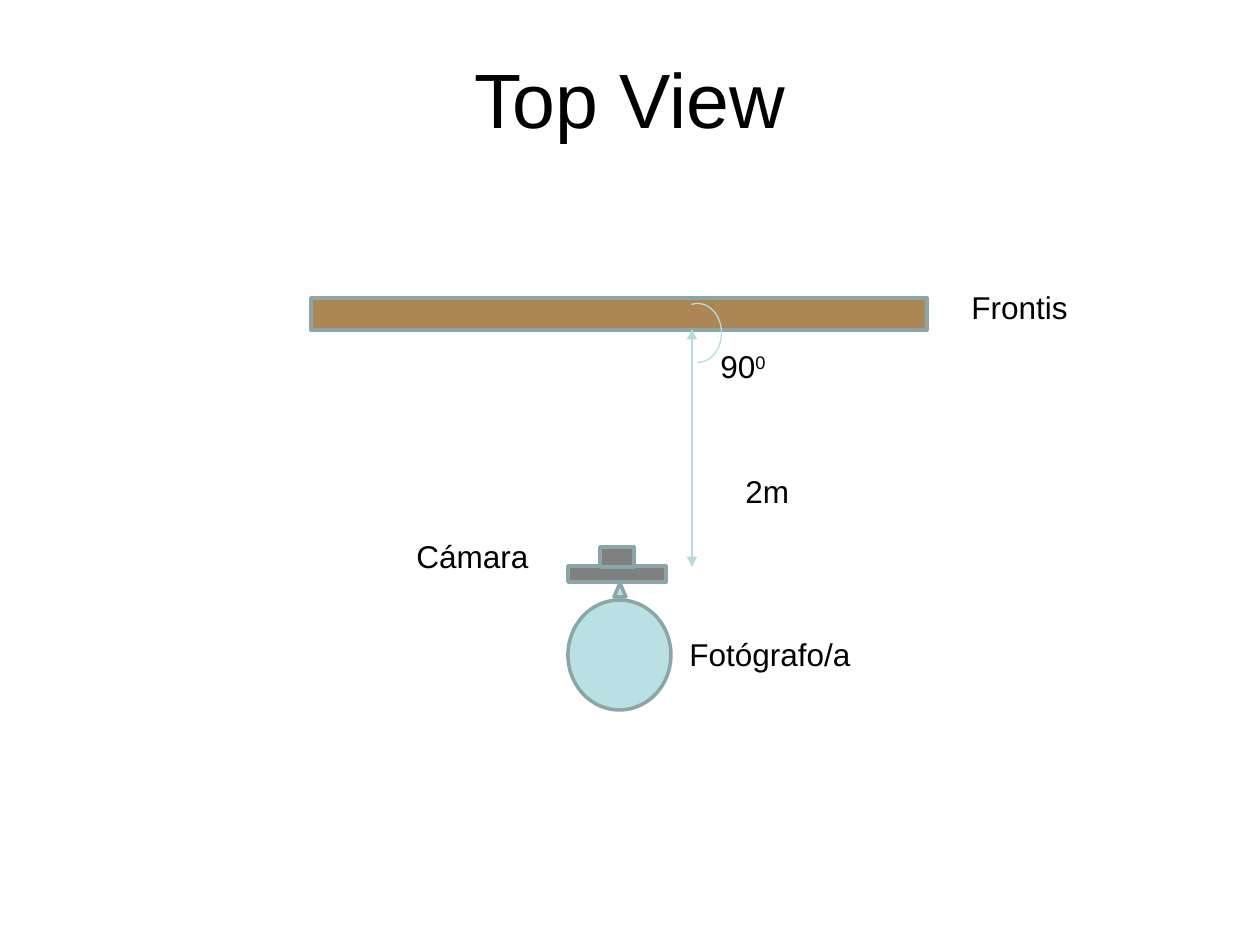
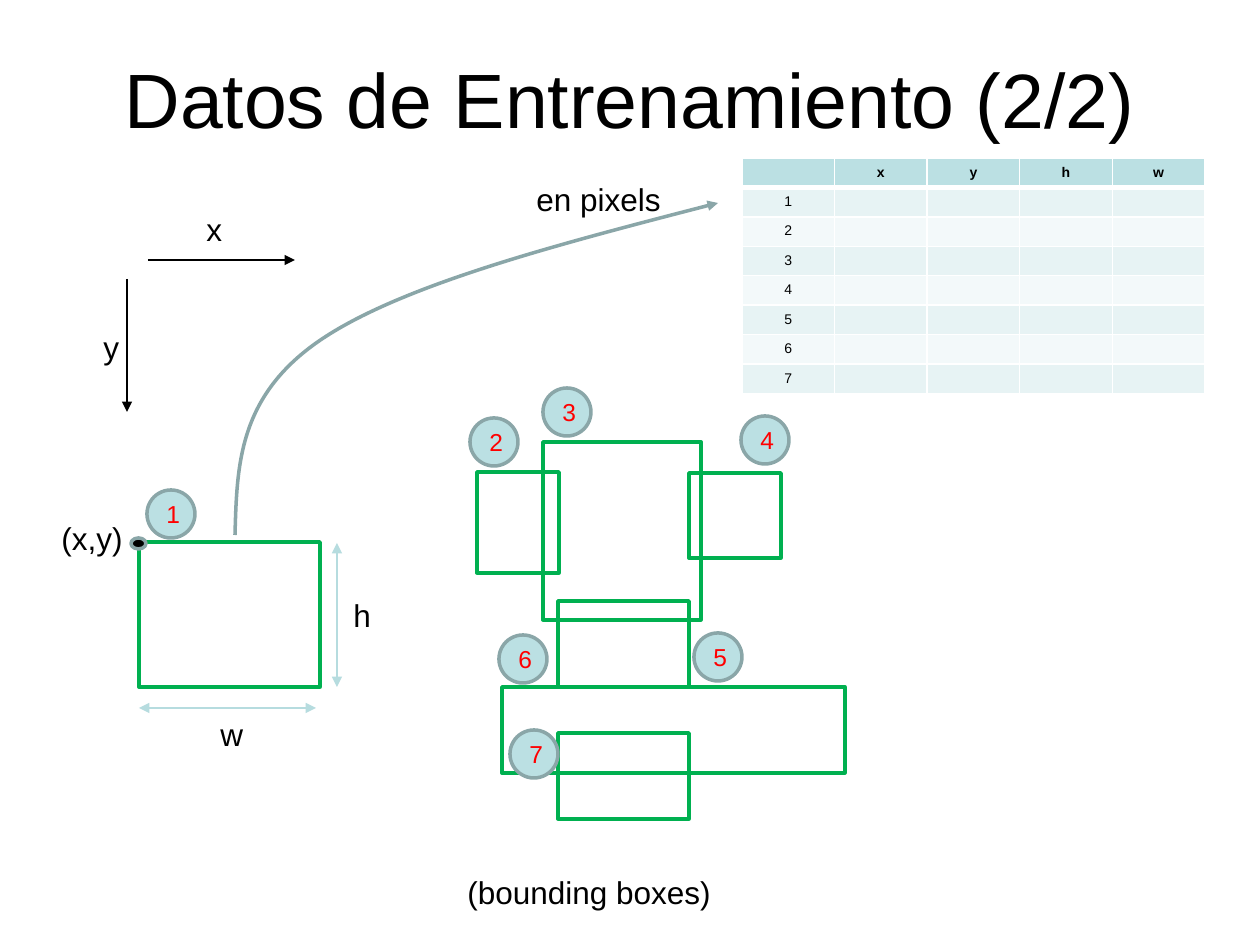
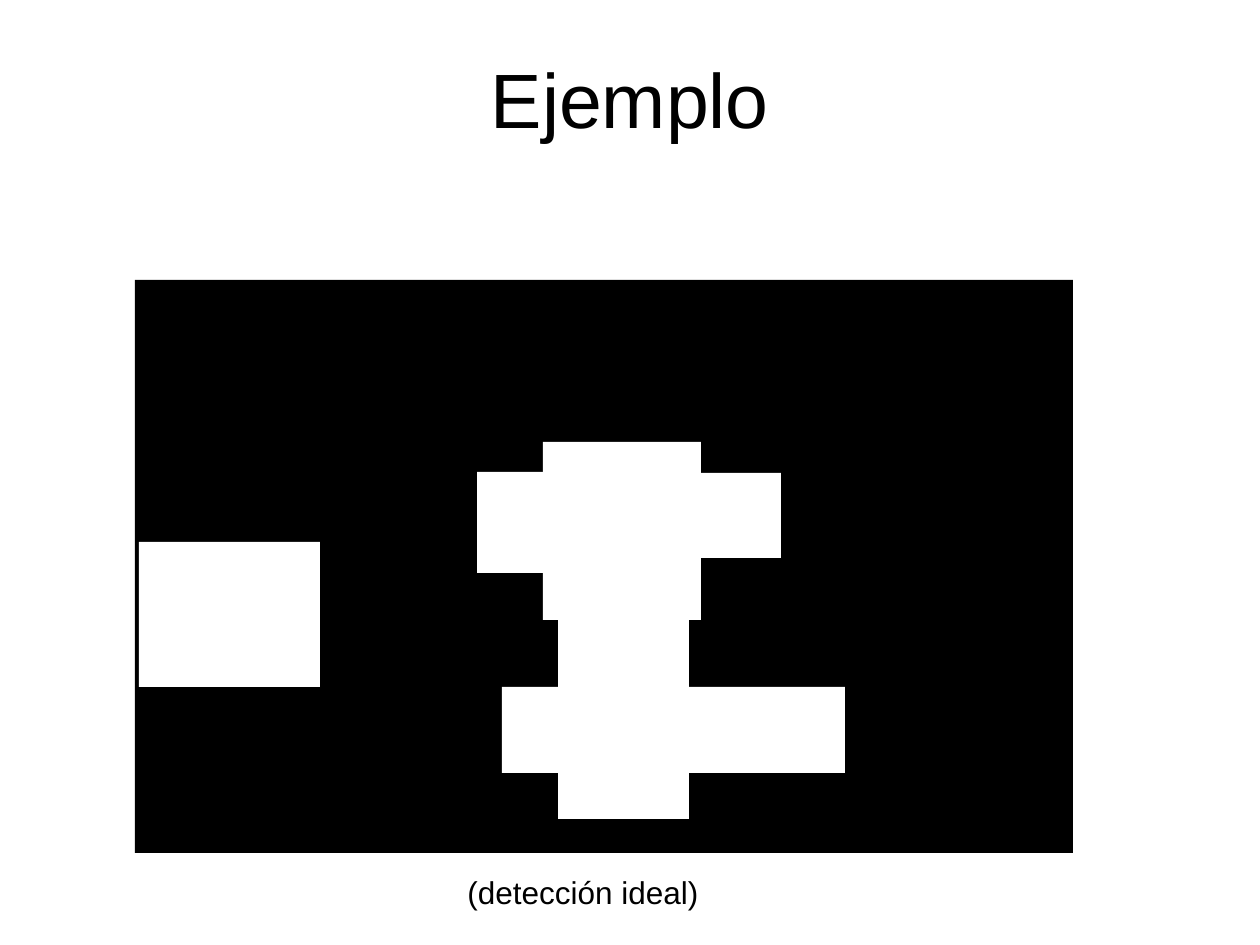
"""Builds three slides on camera placement, training boxes and ideal detection."""
import lxml.etree
import pptx
import pptx.dml.color
import pptx.enum.shapes
import pptx.enum.text
import pptx.oxml.ns
import pptx.util

SCALE = 914400 / 126
FONT = "Arial"
BLACK, WHITE, RED, GREEN = "000000", "FFFFFF", "FF0000", "00B050"
AQUA, EDGE, MEASURE = "BBE0E3", "8AA6A8", "B6DCDF"
WOOD, GREY = "AC8654", "808080"
BANDS = ("F3F9FA", "E7F3F4")
SHAPES = pptx.enum.shapes.MSO_SHAPE
CENTER = pptx.enum.text.PP_ALIGN.CENTER
qn = pptx.oxml.ns.qn

NECK = (558, 601, 131, 86)
REGIONS = [
    (139, 542, 181, 145), (477, 472, 82, 101), (543, 442, 158, 178),
    (689, 473, 92, 85), NECK, (502, 687, 343, 86), (558, 733, 131, 86),
]
BADGES = [(147, 490), (470, 418), (543, 388), (741, 416), (694, 633), (499, 635), (510, 730)]
BADGE_SIZE = 48


def px(*values):
    return [pptx.util.Emu(round(value * SCALE)) for value in values]


def color(value):
    return pptx.dml.color.RGBColor.from_string(value)


def add_xml(parent, tag, **attributes):
    return lxml.etree.SubElement(parent, qn(tag), attributes)


class Sketch:
    def __init__(self):
        self.deck = pptx.Presentation()
        self.deck.slide_width, self.deck.slide_height = px(1260, 945)
        self.page = None

    def new_page(self):
        self.page = self.deck.slides.add_slide(self.deck.slide_layouts[6])

    def add_span(self, para, text, size, ink=BLACK, bold=False):
        span = para.add_run()
        span.text = text
        span.font.name = FONT
        span.font.size = pptx.util.Pt(size)
        span.font.bold = bold
        span.font.color.rgb = color(ink)
        return span

    def title(self, text):
        frame = self.page.shapes.add_textbox(*px(63, 38, 1134, 157)).text_frame
        frame.word_wrap = True
        frame.margin_top = px(14)[0]
        para = frame.paragraphs[0]
        para.alignment = CENTER
        self.add_span(para, text, 44)

    def label(self, text, left, top, width, raised=""):
        frame = self.page.shapes.add_textbox(*px(left, top, width, 50)).text_frame
        frame.word_wrap = False
        frame.auto_size = pptx.enum.text.MSO_AUTO_SIZE.SHAPE_TO_FIT_TEXT
        para = frame.paragraphs[0]
        self.add_span(para, text, 18)
        if raised:
            span = self.add_span(para, raised, 18)
            span.font._element.set("baseline", "30000")

    def style(self, shape, fill, line, weight):
        shape.shadow.inherit = False
        if fill:
            shape.fill.solid()
            shape.fill.fore_color.rgb = color(fill)
        else:
            shape.fill.background()
        if line:
            shape.line.color.rgb = color(line)
            shape.line.width = pptx.util.Pt(weight)
        else:
            shape.line.fill.background()

    def shape(self, kind, bounds, fill=None, line=EDGE, weight=2):
        shape = self.page.shapes.add_shape(kind, *px(*bounds))
        self.style(shape, fill, line, weight)
        return shape

    def badge(self, text, left, top):
        circle = self.shape(SHAPES.OVAL, (left, top, BADGE_SIZE, BADGE_SIZE), AQUA)
        frame = circle.text_frame
        frame.vertical_anchor = pptx.enum.text.MSO_ANCHOR.MIDDLE
        para = frame.paragraphs[0]
        para.alignment = CENTER
        self.add_span(para, text, 14, RED)

    def right_angle(self, bounds):
        arc = self.shape(SHAPES.ARC, bounds, line=MEASURE, weight=0.75)
        arc.adjustments[0] = 100.87
        arc.rotation = 90

    def arrowheads(self, shape, *ends):
        line = shape._element.spPr.find(qn("a:ln"))
        for end in ends:
            add_xml(line, end, type="triangle")

    def arrow(self, start, end, ink=BLACK, double=False):
        straight = pptx.enum.shapes.MSO_CONNECTOR.STRAIGHT
        connector = self.page.shapes.add_connector(straight, *px(*start, *end))
        connector.line.color.rgb = color(ink)
        connector.line.width = pptx.util.Pt(0.75)
        self.arrowheads(connector, *(["a:headEnd"] if double else []), "a:tailEnd")
        add_xml(connector._element.spPr, "a:effectLst")

    def curve(self, start, points):
        builder = self.page.shapes.build_freeform(*start, scale=SCALE)
        builder.add_line_segments(points, close=False)
        shape = builder.convert_to_shape()
        segments = list(shape._element.iter(qn("a:lnTo")))
        outline = segments[0].getparent()
        for first in range(0, len(segments), 3):
            bezier = add_xml(outline, "a:cubicBezTo")
            for segment in segments[first:first + 3]:
                bezier.append(segment[0])
                outline.remove(segment)
        self.style(shape, None, EDGE, 2)
        self.arrowheads(shape, "a:tailEnd")

    def border(self, cell, **points):
        properties = cell._tc.get_or_add_tcPr()
        for index, side in enumerate("LRTB"):
            width = pptx.util.Pt(points.get(side, 1))
            line = add_xml(properties, f"a:ln{side}", w=str(width))
            add_xml(add_xml(line, "a:solidFill"), "a:srgbClr", val=WHITE)
            properties.insert(index, line)

    def table(self, rows, bounds):
        frame = self.page.shapes.add_table(len(rows), len(rows[0]), *px(*bounds))
        table = frame.table
        table.first_row = table.horz_banding = False
        for row, texts in enumerate(rows):
            for column, text in enumerate(texts):
                cell = table.cell(row, column)
                cell.fill.solid()
                cell.fill.fore_color.rgb = color(BANDS[row % 2] if row else AQUA)
                self.border(cell, **{0: {"B": 3}, 1: {"T": 3}}.get(row, {}))
                para = cell.text_frame.paragraphs[0]
                para.alignment = CENTER
                if text:
                    self.add_span(para, text, 8, bold=row == 0)
                else:
                    add_xml(para._p, "a:endParaRPr", sz="800")


def top_view(sketch):
    sketch.new_page()
    sketch.title("Top View")
    sketch.shape(SHAPES.RECTANGLE, (311, 298, 616, 32), WOOD)
    sketch.shape(SHAPES.OVAL, (568, 600, 103, 110), AQUA)
    sketch.shape(SHAPES.ISOSCELES_TRIANGLE, (614, 583, 12, 14), AQUA)
    sketch.shape(SHAPES.RECTANGLE, (568, 566, 98, 16), GREY)
    sketch.shape(SHAPES.RECTANGLE, (600, 547, 34, 20), GREY)
    sketch.label("Frontis", 959, 282, 122)
    sketch.label("Fotógrafo/a", 677, 629, 188)
    sketch.label("Cámara", 404, 531, 139)
    sketch.arrow((692, 329), (692, 567), MEASURE, double=True)
    sketch.label("2m", 733, 466, 69)
    sketch.right_angle((668, 309, 59, 48))
    sketch.label("90", 708, 341, 73, raised="0")


def training_data(sketch):
    sketch.new_page()
    sketch.title("Datos de Entrenamiento (2/2)")
    for region in REGIONS:
        sketch.shape(SHAPES.RECTANGLE, region, line=GREEN)
    sketch.label("(bounding boxes)", 455, 867, 271)
    for number, corner in enumerate(BADGES, 1):
        sketch.badge(str(number), *corner)
    sketch.arrow((127, 279), (127, 412))
    sketch.label("y", 91, 322, 42)
    sketch.label("x", 194, 204, 42)
    sketch.arrow((148, 260), (295, 260))
    header = ["", "x", "y", "h", "w"]
    numbered = [[str(number), "", "", "", ""] for number in range(1, len(REGIONS) + 1)]
    sketch.table([header] + numbered, (742, 158, 463, 235))
    sketch.shape(SHAPES.OVAL, (131, 538, 15, 11), BLACK)
    sketch.label("(x,y)", 49, 513, 87)
    sketch.arrow((139, 708), (316, 708), MEASURE, double=True)
    sketch.arrow((337, 543), (337, 687), MEASURE, double=True)
    sketch.label("w", 208, 709, 48)
    sketch.label("h", 341, 590, 43)
    sketch.curve((235, 535), [(237, 466), (238, 397), (319, 341),
                              (399, 286), (559, 244), (718, 203)])
    sketch.label("en pixels", 524, 174, 151)


def ideal_detection(sketch):
    sketch.new_page()
    sketch.shape(SHAPES.RECTANGLE, (135, 280, 938, 573), BLACK, line=None)
    sketch.title("Ejemplo")
    for left, top, width, height in REGIONS:
        overlap = 12 if (left, top, width, height) == NECK else 0
        sketch.shape(SHAPES.RECTANGLE, (left, top, width, height + overlap), WHITE, line=None)
    sketch.label("(detección ideal)", 455, 867, 258)


def main():
    sketch = Sketch()
    top_view(sketch)
    training_data(sketch)
    ideal_detection(sketch)
    sketch.deck.save("out.pptx")


if __name__ == "__main__":
    main()
